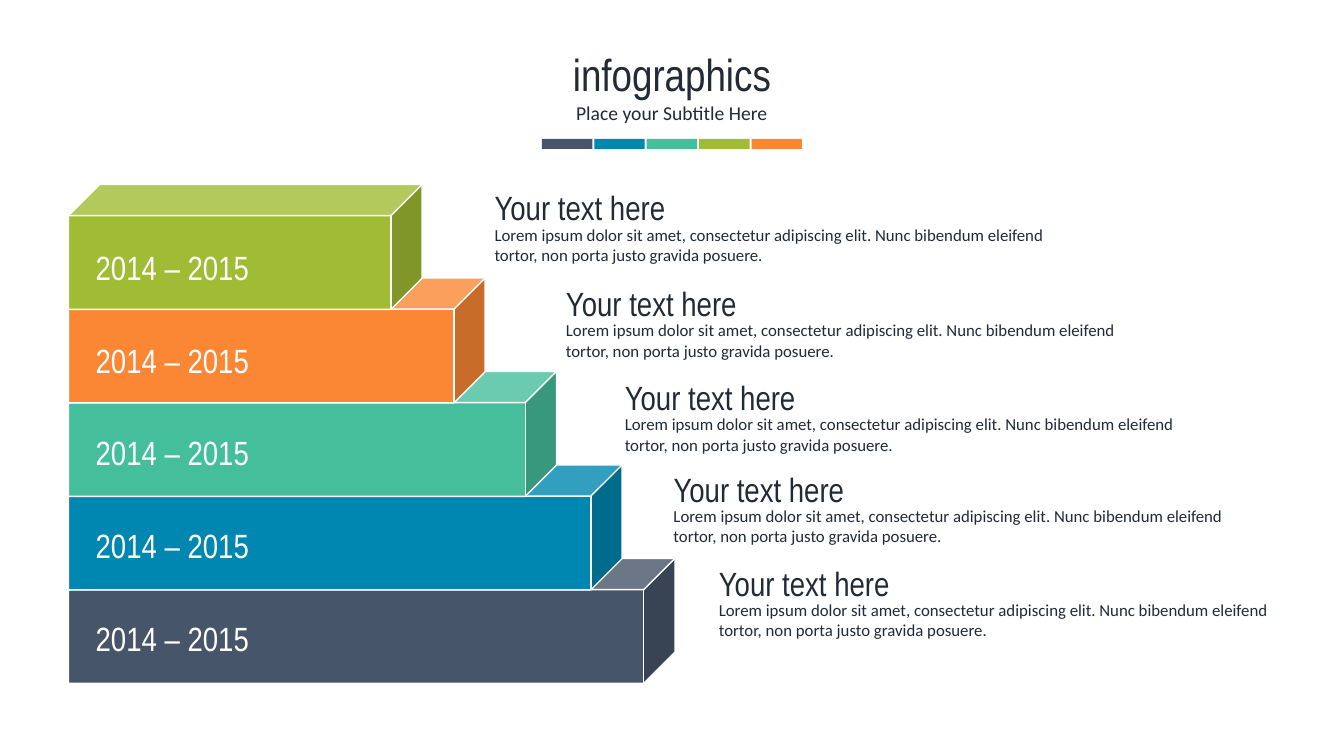
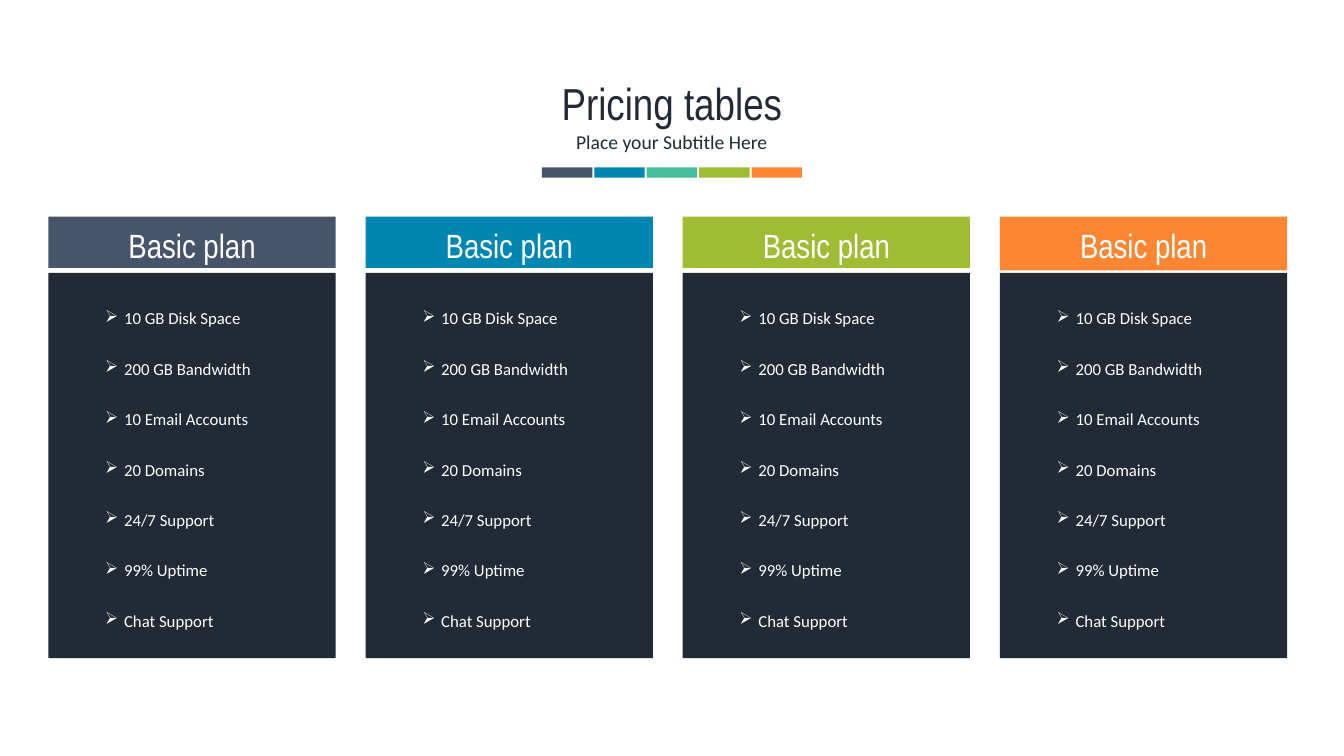
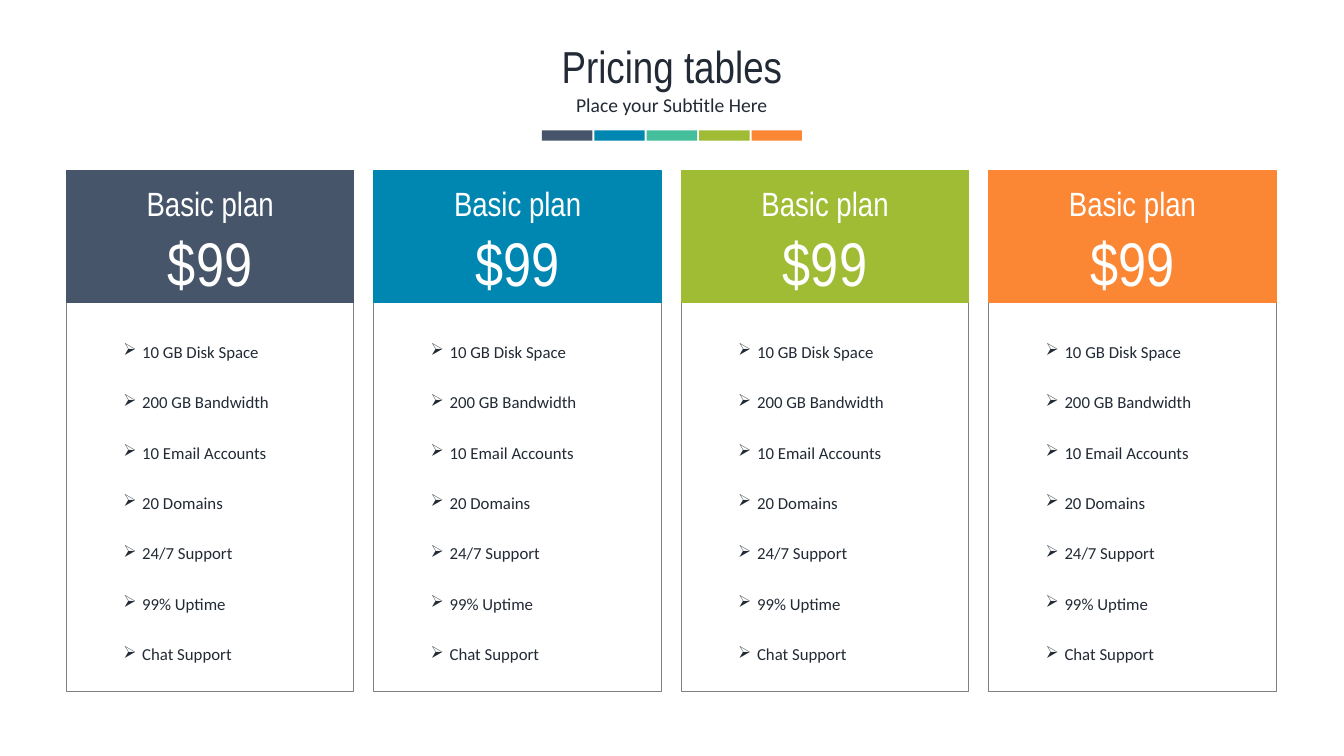
"""Builds three infographic slides: a staircase of years and two pricing tables."""
from lxml.etree import SubElement
from pptx import Presentation
from pptx.dml.color import RGBColor
from pptx.enum.shapes import MSO_SHAPE as Preset
from pptx.enum.text import MSO_AUTO_SIZE as AutoSize, PP_ALIGN as Align
from pptx.oxml.ns import qn
from pptx.util import Pt

CELL = Pt(6)
COLUMNS, ROWS = 160, 90

WHITE = RGBColor(0xFF, 0xFF, 0xFF)
INK = RGBColor(0x22, 0x2A, 0x35)
GRAY = RGBColor(0x80, 0x80, 0x80)
SLATE = RGBColor(0x46, 0x55, 0x6A)
BLUE = RGBColor(0x00, 0x87, 0xB1)
TEAL = RGBColor(0x45, 0xBE, 0x9B)
GREEN = RGBColor(0xA0, 0xBC, 0x34)
ORANGE = RGBColor(0xFB, 0x87, 0x34)
ACCENTS = (SLATE, BLUE, TEAL, GREEN, ORANGE)
PLAN_COLORS = (SLATE, BLUE, GREEN, ORANGE)

DISPLAY, BODY = "Arial Narrow", "Calibri"
PLAN_WIDTH = 34.2
LOREM = ("Lorem ipsum dolor sit amet, consectetur adipiscing elit. "
         "Nunc bibendum eleifend tortor, non porta justo gravida posuere.")
FEATURES = ("10 GB Disk Space", "200 GB Bandwidth", "10 Email Accounts",
            "20 Domains", "24/7 Support", "99% Uptime", "Chat Support")


class Deck:
    """Holds the shared style and the current slide; lengths are grid cells."""

    def __init__(self):
        self.show = Presentation()
        self.show.slide_width = COLUMNS * CELL
        self.show.slide_height = ROWS * CELL
        self.slide = None

    def cells(self, *lengths):
        return [round(length * CELL) for length in lengths]

    def new_slide(self, title, top):
        self.slide = self.show.slides.add_slide(self.show.slide_layouts[6])
        self.text([title], 0, top, COLUMNS, 7.68, 32, align=Align.CENTER)
        self.text(["Place your Subtitle Here"], 8.16, top + 6.48, 143.64, 4.08,
                  14, font=BODY, align=Align.CENTER)
        for i, color in enumerate(ACCENTS):
            self.shape(64.52 + 6.24 * i, top + 11.54, 6, 1.2, color)

    def shape(self, left, top, width, height, fill=None, line=None, weight=1,
              preset=Preset.RECTANGLE):
        shape = self.slide.shapes.add_shape(
            preset, *self.cells(left, top, width, height))
        shape.shadow.inherit = False
        if fill is None:
            shape.fill.background()
        else:
            shape.fill.solid()
            shape.fill.fore_color.rgb = fill
        if line is None:
            shape.line.fill.background()
        else:
            shape.line.color.rgb = line
            shape.line.width = Pt(weight)

    def text(self, lines, left, top, width, height, size, color=INK,
             font=DISPLAY, align=Align.LEFT, bullet=None):
        frame = self.slide.shapes.add_textbox(
            *self.cells(left, top, width, height)).text_frame
        frame.word_wrap = True
        frame.auto_size = AutoSize.SHAPE_TO_FIT_TEXT
        for i, line in enumerate(lines):
            paragraph = frame.add_paragraph() if i else frame.paragraphs[0]
            paragraph.alignment = align
            if bullet:
                self.bullet(paragraph, bullet)
            run = paragraph.add_run()
            run.text = line
            run.font.size = Pt(size)
            run.font.name = font
            run.font.color.rgb = color

    def bullet(self, paragraph, mark):
        properties = paragraph._p.get_or_add_pPr()
        indent = round(2.25 * CELL)
        properties.set("marL", str(indent))
        properties.set("indent", str(-indent))
        SubElement(properties, qn("a:buChar")).set("char", mark)
        paragraph.line_spacing = 2.5

    def features(self, plan_left, top, color):
        self.text(FEATURES, plan_left + 5.58, top, 23.16, 43.68, 12, color,
                  BODY, bullet="➢")

    def plan_label(self, label, left, top, height, size):
        self.text([label], left, top, PLAN_WIDTH, height, size, WHITE,
                  align=Align.CENTER)


def staircase(deck):
    deck.new_slide("infographics", 5)
    steps = ((GREEN, 42.1, 57.7, 21.7), (ORANGE, 49.6, 66.2, 33.1),
             (TEAL, 58.1, 73.2, 44.3), (BLUE, 65.9, 79, 55.2),
             (SLATE, 72.2, 84.4, 66.4))
    for i, (color, width, note_left, note_top) in reversed(
            list(enumerate(steps))):
        deck.shape(8.16, 21.96 + 11.13 * i, width, 14.88, color, WHITE,
                   preset=Preset.CUBE)
        deck.text([LOREM], note_left, note_top + 4.42, 69.12, 6, 12, font=BODY)
        deck.text(["Your text here"], note_left, note_top, 38, 6, 24)
    for i in range(len(steps)):
        deck.text(["2014 – 2015"], 10.2, 28.8 + 11.04 * i, 38, 6, 24, WHITE)


def dark_plans(deck):
    deck.new_slide("Pricing tables", 8.4)
    band_heights = (6.1, 6.1, 6.1, 6.4)
    for i, (color, band_height) in enumerate(zip(PLAN_COLORS, band_heights)):
        left = 5.76 + 37.76 * i
        deck.shape(left, 32.5, PLAN_WIDTH, 45.84, INK)
        deck.features(left, 32.5, WHITE)
        deck.shape(left, 25.8, PLAN_WIDTH, band_height, color)
        deck.plan_label("Basic plan", left, 26.16, 6, 24)


def priced_plans(deck):
    deck.new_slide("Pricing tables", 4)
    for i, color in enumerate(PLAN_COLORS):
        left = 7.92 + 36.6 * i
        deck.shape(left, 29.76, PLAN_WIDTH, 52.56, line=GRAY, weight=0)
        deck.features(left, 36.48, INK)
        deck.shape(left, 20.28, PLAN_WIDTH, 15.72, color, color)
        deck.plan_label("Basic plan", left, 21.24, 6, 24)
        deck.plan_label("$99", left, 26.16, 10.08, 44)


def main():
    deck = Deck()
    staircase(deck)
    dark_plans(deck)
    priced_plans(deck)
    deck.show.save("out.pptx")


if __name__ == "__main__":
    main()
